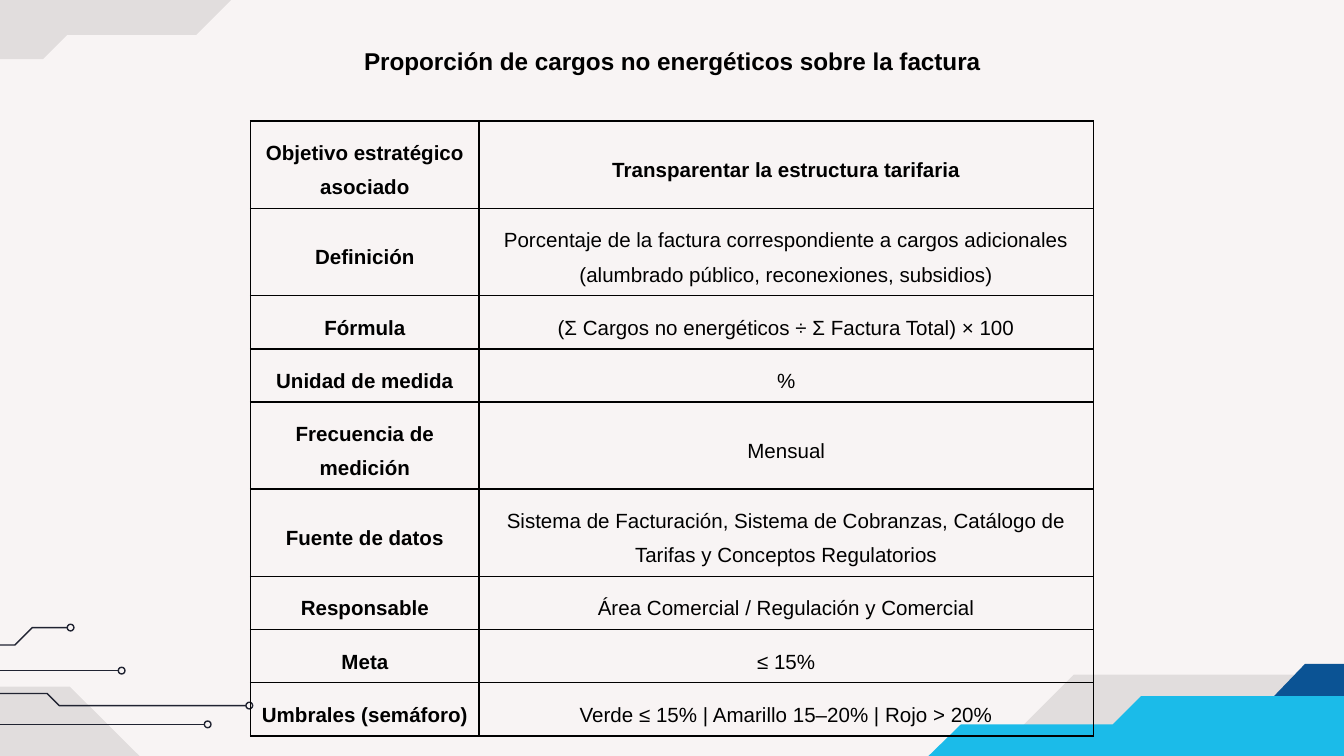
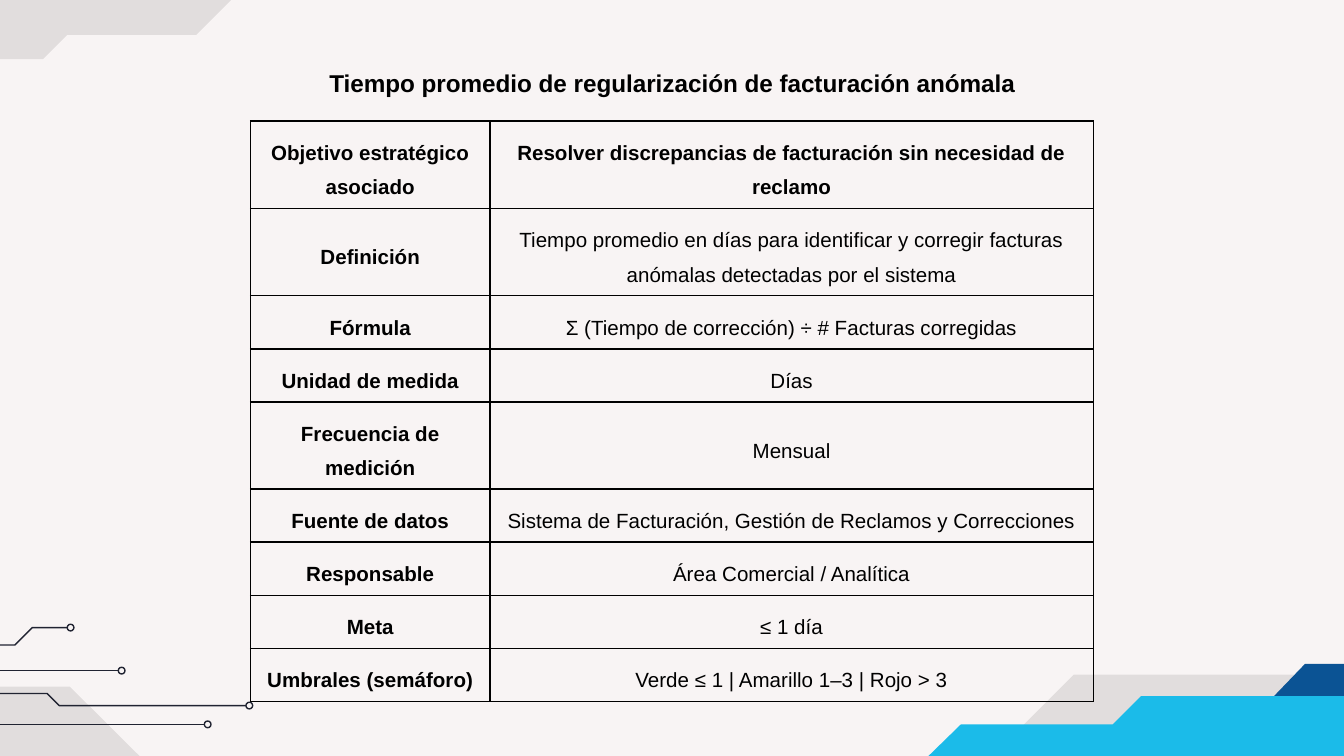
from dataclasses import dataclass

from lxml import etree
from pptx import Presentation
from pptx.dml.color import RGBColor
from pptx.enum.shapes import MSO_CONNECTOR, MSO_SHAPE
from pptx.enum.text import MSO_ANCHOR, PP_ALIGN
from pptx.oxml.ns import qn
from pptx.util import Inches, Pt

STRAIGHT = MSO_CONNECTOR.STRAIGHT
OVAL = MSO_SHAPE.OVAL
MIDDLE = MSO_ANCHOR.MIDDLE
CENTER = PP_ALIGN.CENTER

SLIDE_WIDTH = Inches(10)
SLIDE_HEIGHT = SLIDE_WIDTH * 9 // 16
FONT = "Arial"
BACKGROUND = "F8F4F4"
INK = "000000"
CIRCUIT = "202331"
NAVY = "0B5394"
CYAN = "1BBBE9"
CIRCUIT_WEIGHT = Pt(0.75)
NODE_SIZE = 0.05
CONTENT_WIDTH, TABLE_TOP = 6.27, 0.9
CONTENT_LEFT = (SLIDE_WIDTH - Inches(CONTENT_WIDTH)) // 2
ONE_LINE, TWO_LINES = 0.35, 0.53

Points = tuple[tuple[float, float], ...]


@dataclass(frozen=True)
class Band:
    points: Points
    color: str
    opacity: int = 100


@dataclass(frozen=True)
class Indicator:
    title: str
    title_top: float
    title_height: float
    label_width: float
    two_line_rows: tuple[int, ...]
    values: tuple[str, ...]


BACK_BANDS = (
    Band(((9.82, 5.02), (9.82, 7.02), (5.98, 7.03), (7.99, 5.02)), INK, 9),
    Band(((-1.04, 0.44), (-1.04, -1.49), (2.21, -1.49), (2.21, -0.08),
          (1.8, -0.08), (1.46, 0.26), (0.5, 0.26), (0.32, 0.44)), INK, 9),
    Band(((-1.31, 5.11), (-1.31, 7.11), (2.54, 7.12), (0.52, 5.11)), INK, 9),
    Band(((10.81, 4.94), (10.55, 5.2), (9.46, 5.2), (9.71, 4.94)), NAVY),
)
FRONT_BAND = Band(((10.1, 5.18), (10.1, 7.45), (6.25, 7.45), (6.25, 5.79),
                   (6.74, 5.79), (7.15, 5.39), (8.28, 5.39), (8.49, 5.18)), CYAN)
CIRCUITS: tuple[Points, ...] = (
    ((-0.79, 4.99), (0.88, 4.99)),
    ((-1.16, 4.8), (0.11, 4.8), (0.24, 4.67), (0.5, 4.67)),
    ((-1.48, 5.16), (0.35, 5.16), (0.44, 5.25), (1.83, 5.25)),
    ((-1.72, 5.39), (1.52, 5.39)),
)

LABELS = (
    "Objetivo estratégico asociado",
    "Definición",
    "Fórmula",
    "Unidad de medida",
    "Frecuencia de medición",
    "Fuente de datos",
    "Responsable",
    "Meta",
    "Umbrales (semáforo)",
)
INDICATORS = (
    Indicator(
        "Proporción de cargos no energéticos sobre la factura",
        0, 0.8, 1.7, (0, 1, 4, 5),
        (
            "Transparentar la estructura tarifaria",
            "Porcentaje de la factura correspondiente a cargos adicionales "
            "(alumbrado público, reconexiones, subsidios)",
            "(Σ Cargos no energéticos ÷ Σ Factura Total) × 100",
            "%",
            "Mensual",
            "Sistema de Facturación, Sistema de Cobranzas, Catálogo de "
            "Tarifas y Conceptos Regulatorios",
            "Área Comercial / Regulación y Comercial",
            "≤ 15%",
            "Verde ≤ 15% | Amarillo 15–20% | Rojo > 20%",
        ),
    ),
    Indicator(
        "Tiempo promedio de regularización de facturación anómala",
        0.16, 0.81, 1.78, (0, 1, 4),
        (
            "Resolver discrepancias de facturación sin necesidad de reclamo",
            "Tiempo promedio en días para identificar y corregir facturas "
            "anómalas detectadas por el sistema",
            "Σ (Tiempo de corrección) ÷ # Facturas corregidas",
            "Días",
            "Mensual",
            "Sistema de Facturación, Gestión de Reclamos y Correcciones",
            "Área Comercial / Analítica",
            "≤ 1 día",
            "Verde ≤ 1 | Amarillo 1–3 | Rojo > 3",
        ),
    ),
)


def rgb(color: str) -> RGBColor:
    return RGBColor.from_string(color)


def draw_outline(slide, points: Points, close: bool):
    corners = [(Inches(x), Inches(y)) for x, y in points]
    builder = slide.shapes.build_freeform(*corners[0])
    builder.add_line_segments(corners[1:], close=close)
    outline = builder.convert_to_shape()
    outline.shadow.inherit = False
    return outline


def draw_band(slide, band: Band) -> None:
    polygon = draw_outline(slide, band.points, True)
    polygon.fill.solid()
    polygon.fill.fore_color.rgb = rgb(band.color)
    if band.opacity < 100:
        tint = next(polygon.element.iter(qn("a:srgbClr")))
        etree.SubElement(tint, qn("a:alpha"), val=str(band.opacity * 1000))
    polygon.line.fill.background()


def ink_circuit(part) -> None:
    part.line.color.rgb = rgb(CIRCUIT)
    part.line.width = CIRCUIT_WEIGHT


def draw_circuit(slide, points: Points) -> None:
    end_x, end_y = points[-1]
    if len(points) == 2:
        (start_x, start_y), _ = points
        wire = slide.shapes.add_connector(
            STRAIGHT, Inches(start_x), Inches(start_y), Inches(end_x), Inches(end_y))
        etree.SubElement(wire.element.spPr, qn("a:effectLst"))
    else:
        wire = draw_outline(slide, points, False)
        wire.fill.background()
    ink_circuit(wire)
    node = slide.shapes.add_shape(
        OVAL, Inches(end_x), Inches(end_y - NODE_SIZE / 2),
        Inches(NODE_SIZE), Inches(NODE_SIZE))
    node.shadow.inherit = False
    node.fill.background()
    ink_circuit(node)


def write(frame, text: str, size: int, bold: bool) -> None:
    paragraph = frame.paragraphs[0]
    paragraph.text = text
    paragraph.alignment = CENTER
    paragraph.line_spacing = 1.5
    for run in paragraph.runs:
        run.font.name = FONT
        run.font.size = Pt(size)
        run.font.bold = bold
        run.font.color.rgb = rgb(INK)


def set_borders(cell) -> None:
    properties = cell._tc.get_or_add_tcPr()
    for position, side in enumerate(("lnL", "lnR", "lnT", "lnB")):
        border = etree.Element(qn(f"a:{side}"), w=str(Pt(1)))
        fill = etree.SubElement(border, qn("a:solidFill"))
        etree.SubElement(fill, qn("a:srgbClr"), val=INK)
        properties.insert(position, border)


def draw_table(slide, indicator: Indicator) -> None:
    heights = [TWO_LINES if row in indicator.two_line_rows else ONE_LINE
               for row in range(len(LABELS))]
    table = slide.shapes.add_table(
        len(LABELS), 2, CONTENT_LEFT, Inches(TABLE_TOP),
        Inches(CONTENT_WIDTH), Inches(sum(heights))).table
    table.first_row = False
    table.horz_banding = False
    table.columns[0].width = Inches(indicator.label_width)
    table.columns[1].width = Inches(CONTENT_WIDTH - indicator.label_width)
    for row, pair in enumerate(zip(LABELS, indicator.values)):
        table.rows[row].height = Inches(heights[row])
        for column, text in enumerate(pair):
            cell = table.cell(row, column)
            cell.fill.background()
            cell.vertical_anchor = MIDDLE
            cell.margin_left = cell.margin_right = Inches(0.07)
            cell.margin_top = cell.margin_bottom = Inches(0.07)
            write(cell.text_frame, text, 11, row == 0 or column == 0)
            set_borders(cell)


def draw_title(slide, indicator: Indicator) -> None:
    frame = slide.shapes.add_textbox(
        CONTENT_LEFT, Inches(indicator.title_top),
        Inches(CONTENT_WIDTH), Inches(indicator.title_height)).text_frame
    frame.word_wrap = True
    frame.vertical_anchor = MIDDLE
    frame.margin_left = frame.margin_right = Inches(0.1)
    frame.margin_top = frame.margin_bottom = Inches(0.1)
    write(frame, indicator.title, 13, True)
    frame.paragraphs[0].space_after = Pt(4)


def draw_backdrop(slide) -> None:
    slide.background.fill.solid()
    slide.background.fill.fore_color.rgb = rgb(BACKGROUND)
    for band in BACK_BANDS:
        draw_band(slide, band)
    for circuit in CIRCUITS:
        draw_circuit(slide, circuit)
    draw_band(slide, FRONT_BAND)


def main() -> None:
    deck = Presentation()
    deck.slide_width = SLIDE_WIDTH
    deck.slide_height = SLIDE_HEIGHT
    for indicator in INDICATORS:
        slide = deck.slides.add_slide(deck.slide_layouts[6])
        draw_backdrop(slide)
        draw_table(slide, indicator)
        draw_title(slide, indicator)
    deck.save("out.pptx")


if __name__ == "__main__":
    main()
